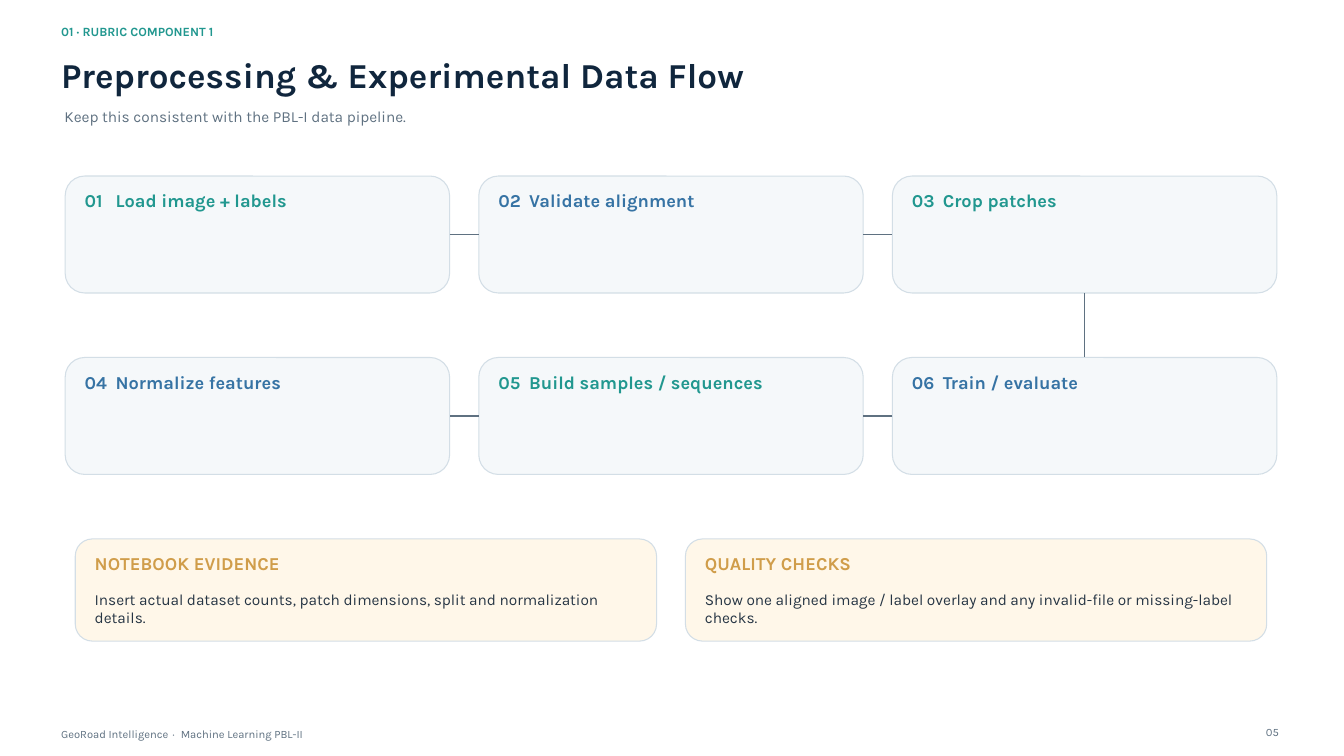
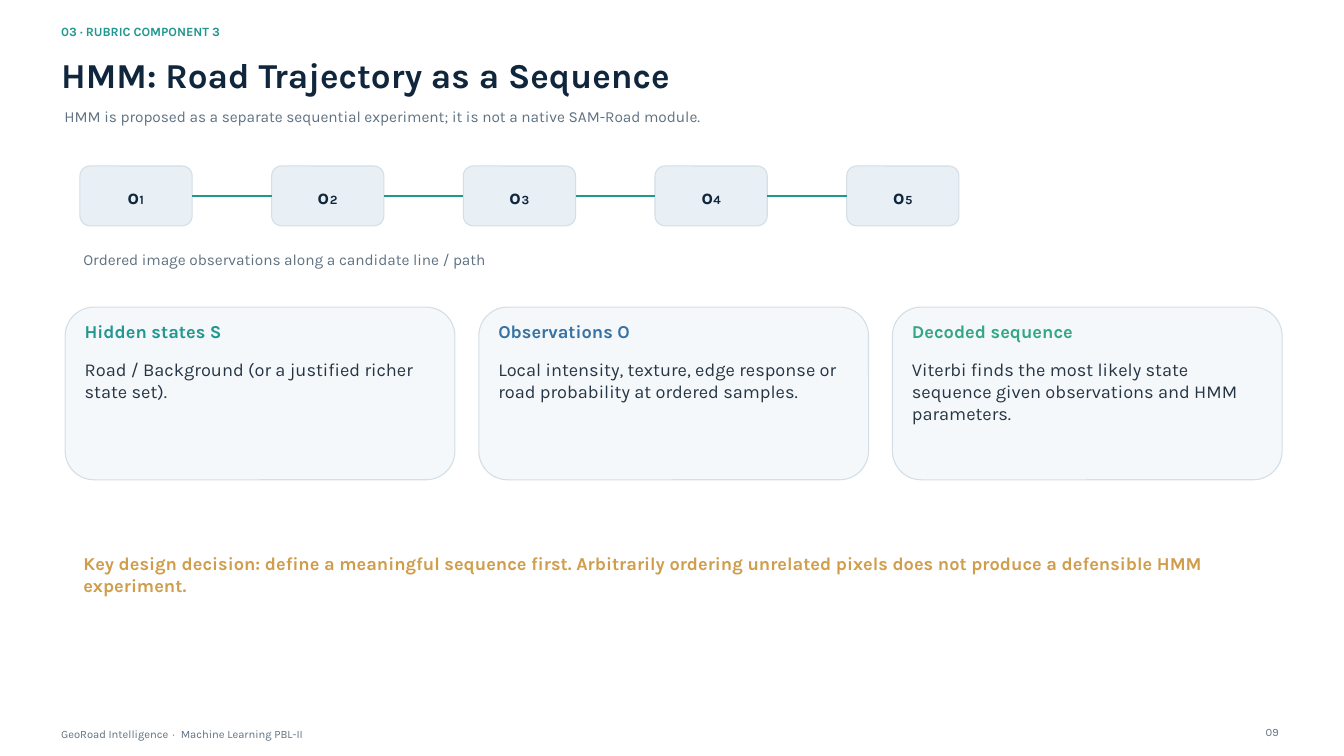
from lxml import etree
from pptx import Presentation
from pptx.dml.color import RGBColor
from pptx.enum.shapes import MSO_CONNECTOR, MSO_SHAPE
from pptx.enum.text import MSO_ANCHOR, MSO_AUTO_SIZE, PP_ALIGN
from pptx.oxml.ns import qn
from pptx.util import Inches, Pt

STRAIGHT = MSO_CONNECTOR.STRAIGHT
ROUNDED = MSO_SHAPE.ROUNDED_RECTANGLE
TOP_ANCHOR = MSO_ANCHOR.TOP
GROW = MSO_AUTO_SIZE.SHAPE_TO_FIT_TEXT
LEFT, CENTER, RIGHT = PP_ALIGN.LEFT, PP_ALIGN.CENTER, PP_ALIGN.RIGHT
TOP_SIDE, LEFT_SIDE, BOTTOM_SIDE, RIGHT_SIDE = range(4)

FONT = "Karla"
NAVY = RGBColor(0x10, 0x26, 0x3D)
INK = RGBColor(0x26, 0x35, 0x44)
SLATE = RGBColor(0x5F, 0x71, 0x81)
TEAL = RGBColor(0x21, 0x97, 0x8F)
BLUE = RGBColor(0x36, 0x73, 0xA4)
GREEN = RGBColor(0x33, 0xA6, 0x85)
GOLD = RGBColor(0xD0, 0x9D, 0x4A)
BORDER = RGBColor(0xD3, 0xDE, 0xE6)
PALE = RGBColor(0xF5, 0xF8, 0xFA)
MIST = RGBColor(0xE8, 0xF0, 0xF5)
CREAM = RGBColor(0xFF, 0xF7, 0xE9)

FOOTER = "GeoRoad Intelligence\t·\tMachine Learning PBL-II"
FOOTER_TABS = (1.66, 1.78)
STEP_TABS = (0.46,)

DATA_FLOW = {
    "kicker": "01 · RUBRIC COMPONENT 1",
    "title": "Preprocessing & Experimental Data Flow",
    "subtitle": "Keep this consistent with the PBL-I data pipeline.",
    "page": "05",
}
STEPS = ["Load image + labels", "Validate alignment", "Crop patches",
         "Normalize features", "Build samples / sequences", "Train / evaluate"]
STEP_LINKS = [
    (0, RIGHT_SIDE, 1, LEFT_SIDE),
    (1, RIGHT_SIDE, 2, LEFT_SIDE),
    (2, BOTTOM_SIDE, 5, TOP_SIDE),
    (5, LEFT_SIDE, 4, RIGHT_SIDE),
    (4, LEFT_SIDE, 3, RIGHT_SIDE),
]
EVIDENCE = [
    ("NOTEBOOK EVIDENCE",
     "Insert actual dataset counts, patch dimensions, split and normalization details."),
    ("QUALITY CHECKS",
     "Show one aligned image / label overlay and any invalid-file or missing-label checks."),
]

HMM = {
    "kicker": "03 · RUBRIC COMPONENT 3",
    "title": "HMM: Road Trajectory as a Sequence",
    "subtitle": "HMM is proposed as a separate sequential experiment; "
                "it is not a native SAM-Road module.",
    "page": "09",
}
OBSERVATIONS = ["o₁", "o₂", "o₃", "o₄", "o₅"]
CHAIN_CAPTION = "Ordered image observations along a candidate line / path"
HMM_PARTS = [
    ("Hidden states S", TEAL, "Road / Background (or a justified richer state set)."),
    ("Observations O", BLUE,
     "Local intensity, texture, edge response or road probability at ordered samples."),
    ("Decoded sequence", GREEN,
     "Viterbi finds the most likely state sequence given observations and HMM parameters."),
]
KEY_DECISION = ("Key design decision: define a meaningful sequence first. Arbitrarily ordering "
                "unrelated pixels does not produce a defensible HMM experiment.")

# Layout, in inches
COLUMN_LEFT, COLUMN_PITCH = 0.97, 12.31 / 2
STEP_TOP, STEP_PITCH = 2.62, 2.7
EVIDENCE_LEFT, EVIDENCE_PITCH = 1.12, 9.08
CHAIN_LEFT, CHAIN_PITCH = 1.19, 11.41 / 4
PAD_X, HEADING_DROP, BODY_DROP, PAD_BOTTOM = 0.29, 0.2, 0.76, 0.16


def inches(box):
    return [Inches(value) for value in box]


def write(slide, text, box, *, size=16.5, color=INK, bold=False, align=LEFT,
          tabs=(), shape=None):
    """Put text into a new text box, or into the given shape moved to box."""
    if shape is None:
        shape = slide.shapes.add_textbox(*inches(box))
    else:
        shape.left, shape.top, shape.width, shape.height = inches(box)
    frame = shape.text_frame
    frame.word_wrap, frame.auto_size, frame.vertical_anchor = True, GROW, TOP_ANCHOR
    frame.margin_left = frame.margin_right = frame.margin_top = frame.margin_bottom = 0
    paragraph = frame.paragraphs[0]
    if tabs:
        stops = etree.SubElement(paragraph._p.get_or_add_pPr(), qn("a:tabLst"))
        for position in tabs:
            etree.SubElement(stops, qn("a:tab"), pos=str(Inches(position)), algn="l")
    paragraph.alignment = align
    paragraph.line_spacing = Pt(size * 1.2)
    paragraph.space_before = Pt(0)
    run = paragraph.add_run()
    run.text = text
    run.font.name, run.font.size, run.font.bold = FONT, Pt(size), bold
    run.font.color.rgb = color


def add_panel(slide, box, fill):
    panel = slide.shapes.add_shape(ROUNDED, *inches(box))
    panel.shadow.inherit = False
    panel.fill.solid()
    panel.fill.fore_color.rgb = fill
    panel.line.color.rgb = BORDER
    panel.line.width = Pt(1.13)
    return panel


def add_card(slide, box, heading, color, *, body=None, body_size=16.5, fill=PALE, tabs=()):
    left, top, width, height = box
    panel = add_panel(slide, box, fill)
    text_left, text_width = left + PAD_X, width - 2 * PAD_X
    write(slide, heading, (text_left, top + HEADING_DROP, text_width, 0.37),
          size=19.5, color=color, bold=True, tabs=tabs)
    if body:
        write(slide, body,
              (text_left, top + BODY_DROP, text_width, height - BODY_DROP - PAD_BOTTOM),
              size=body_size)
    return panel


def link(slide, start, start_side, end, end_side, color):
    connector = slide.shapes.add_connector(STRAIGHT, 0, 0, 0, 0)
    connector.begin_connect(start, start_side)
    connector.end_connect(end, end_side)
    connector.line.color.rgb = color
    connector.line.width = Pt(1.5)
    etree.SubElement(connector._element.spPr, qn("a:effectLst"))


def add_framed_slide(prs, content):
    """Add a slide with its kicker, title, subtitle, footer and page number."""
    slide = prs.slides.add_slide(prs.slide_layouts[5])
    write(slide, content["kicker"], (0.91, 0.36, 18.08, 0.26), size=13.5, color=TEAL, bold=True)
    write(slide, content["title"], (0.91, 0.79, 18.08, 0.7), size=37.5, color=NAVY, bold=True,
          shape=slide.shapes.title)
    write(slide, content["subtitle"], (0.96, 1.6, 17.93, 0.37), color=SLATE)
    write(slide, FOOTER, (0.91, 10.82, 15.68, 0.16), size=12, color=SLATE, tabs=FOOTER_TABS)
    write(slide, content["page"], (18.28, 10.79, 0.75, 0.18), size=12, color=SLATE, align=RIGHT)
    return slide


def build_data_flow(prs):
    slide = add_framed_slide(prs, DATA_FLOW)
    cards = []
    for index, step in enumerate(STEPS):
        row, column = divmod(index, 3)
        box = (COLUMN_LEFT + column * COLUMN_PITCH, STEP_TOP + row * STEP_PITCH, 5.72, 1.74)
        cards.append(add_card(slide, box, f"{index + 1:02}\t{step}",
                              BLUE if index % 2 else TEAL, tabs=STEP_TABS))
    for start, start_side, end, end_side in STEP_LINKS:
        link(slide, cards[start], start_side, cards[end], end_side, SLATE)
    for index, (heading, body) in enumerate(EVIDENCE):
        add_card(slide, (EVIDENCE_LEFT + index * EVIDENCE_PITCH, 8.02, 8.65, 1.52),
                 heading, GOLD, body=body, fill=CREAM)


def build_hmm(prs):
    slide = add_framed_slide(prs, HMM)
    previous = None
    for index, observation in enumerate(OBSERVATIONS):
        left = CHAIN_LEFT + index * CHAIN_PITCH
        node = add_panel(slide, (left, 2.47, 1.67, 0.89), MIST)
        write(slide, observation, (left + 0.05, 2.73, 1.57, 0.3),
              size=22.5, color=NAVY, bold=True, align=CENTER)
        if previous is not None:
            link(slide, previous, RIGHT_SIDE, node, LEFT_SIDE, TEAL)
        previous = node
    write(slide, CHAIN_CAPTION, (1.24, 3.72, 13.73, 0.37), color=SLATE)
    for index, (heading, color, body) in enumerate(HMM_PARTS):
        add_card(slide, (COLUMN_LEFT + index * COLUMN_PITCH, 4.57, 5.8, 2.57),
                 heading, color, body=body, body_size=19.5)
    write(slide, KEY_DECISION, (1.24, 8.22, 17.48, 0.9), size=19.5, color=GOLD, bold=True)


def main():
    prs = Presentation()
    prs.slide_width, prs.slide_height = Inches(20), Inches(11.25)
    build_data_flow(prs)
    build_hmm(prs)
    prs.save("out.pptx")


if __name__ == "__main__":
    main()
